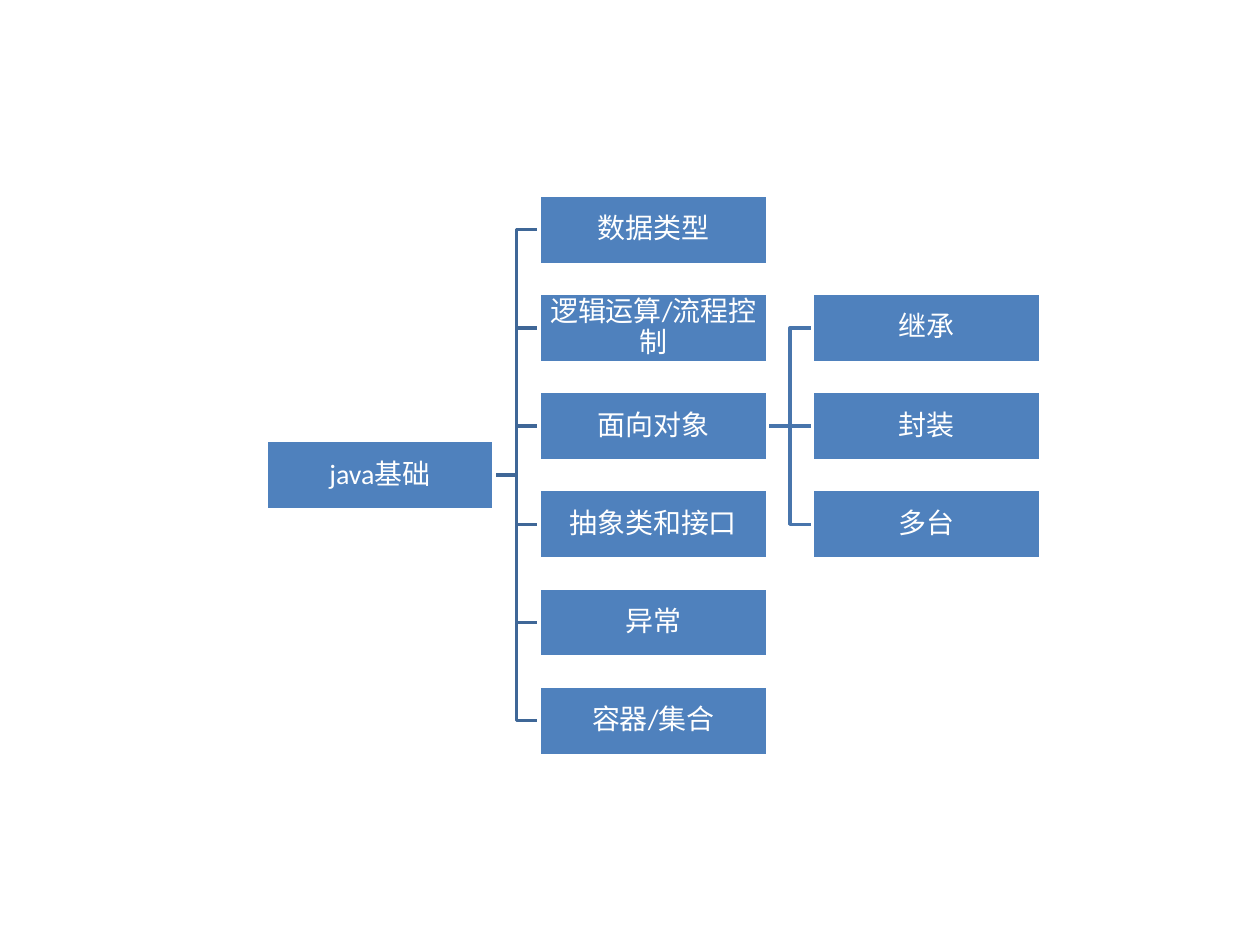
from lxml import etree
from pptx import Presentation
from pptx.dml.color import RGBColor
from pptx.enum import shapes, text
from pptx.oxml.ns import qn
from pptx.util import Cm, Pt

# Content: label, column, row, index of the parent node
NODES = [
    ("java基础", 0, 2.5, None),
    ("数据类型", 1, 0, 0),
    ("逻辑运算/流程控制", 1, 1, 0),
    ("面向对象", 1, 2, 0),
    ("抽象类和接口", 1, 3, 0),
    ("异常", 1, 4, 0),
    ("容器/集合", 1, 5, 0),
    ("继承", 2, 1, 3),
    ("封装", 2, 2, 3),
    ("多台", 2, 3, 3),
]

# Colours
WHITE = RGBColor(0xFF, 0xFF, 0xFF)
BOX_BLUE = RGBColor(0x4F, 0x81, 0xBD)
BRANCH_BLUES = {1: RGBColor(0x3F, 0x67, 0x97), 2: RGBColor(0x48, 0x75, 0xAC)}

# Grid
LEFT, TOP = Cm(5.36), Cm(3.93)
BOX_WIDTH, BOX_HEIGHT = Cm(4.6), Cm(1.4)
COLUMN_STEP, ROW_STEP = Cm(5.51), Cm(1.98)

FRAME_FORMAT = {
    "word_wrap": True,
    "vertical_anchor": text.MSO_ANCHOR.MIDDLE,
    **{f"margin_{side}": Cm(0.03) for side in ("left", "right", "top", "bottom")},
}
FONT_FORMAT = {"name": "Calibri", "size": Pt(16)}


def apply_format(target, values):
    for name, value in values.items():
        setattr(target, name, value)


def box_position(column, row):
    return LEFT + column * COLUMN_STEP, TOP + round(row * ROW_STEP)


def style_line(shape, color):
    shape.line.color.rgb = color
    shape.line.width = Pt(2)


def add_branch(slide, parent, child):
    """Join the parent's right side to the child's left side."""
    parent_left, parent_top = box_position(*parent[1:3])
    end_x, child_top = box_position(*child[1:3])
    start_x = parent_left + BOX_WIDTH
    start_y, end_y = parent_top + BOX_HEIGHT // 2, child_top + BOX_HEIGHT // 2
    if start_y == end_y:
        branch = slide.shapes.add_connector(
            shapes.MSO_CONNECTOR.STRAIGHT, start_x, start_y, end_x, end_y)
        etree.SubElement(branch._element.spPr, qn("a:effectLst"))
    else:
        middle_x = (start_x + end_x) // 2
        builder = slide.shapes.build_freeform(start_x, start_y)
        builder.add_line_segments(
            [(middle_x, start_y), (middle_x, end_y), (end_x, end_y)], close=False)
        branch = builder.convert_to_shape()
        branch.fill.background()
        branch.shadow.inherit = False
    style_line(branch, BRANCH_BLUES[child[1]])


def add_box(slide, label, column, row):
    box = slide.shapes.add_shape(
        shapes.MSO_SHAPE.RECTANGLE, *box_position(column, row), BOX_WIDTH, BOX_HEIGHT)
    box.shadow.inherit = False
    box.fill.solid()
    box.fill.fore_color.rgb = BOX_BLUE
    style_line(box, WHITE)
    apply_format(box.text_frame, FRAME_FORMAT)
    paragraph = box.text_frame.paragraphs[0]
    apply_format(paragraph, {"alignment": text.PP_ALIGN.CENTER, "line_spacing": 0.9})
    run = paragraph.add_run()
    run.text = label
    apply_format(run.font, FONT_FORMAT)
    run.font.color.rgb = WHITE


def main():
    presentation = Presentation()
    presentation.slide_width, presentation.slide_height = Cm(25.4), Cm(19.05)
    slide = presentation.slides.add_slide(presentation.slide_layouts[6])

    # Branches lie behind the boxes
    for node in NODES:
        if node[3] is not None:
            add_branch(slide, NODES[node[3]], node)
    for label, column, row, _ in NODES:
        add_box(slide, label, column, row)

    presentation.save("out.pptx")


if __name__ == "__main__":
    main()
